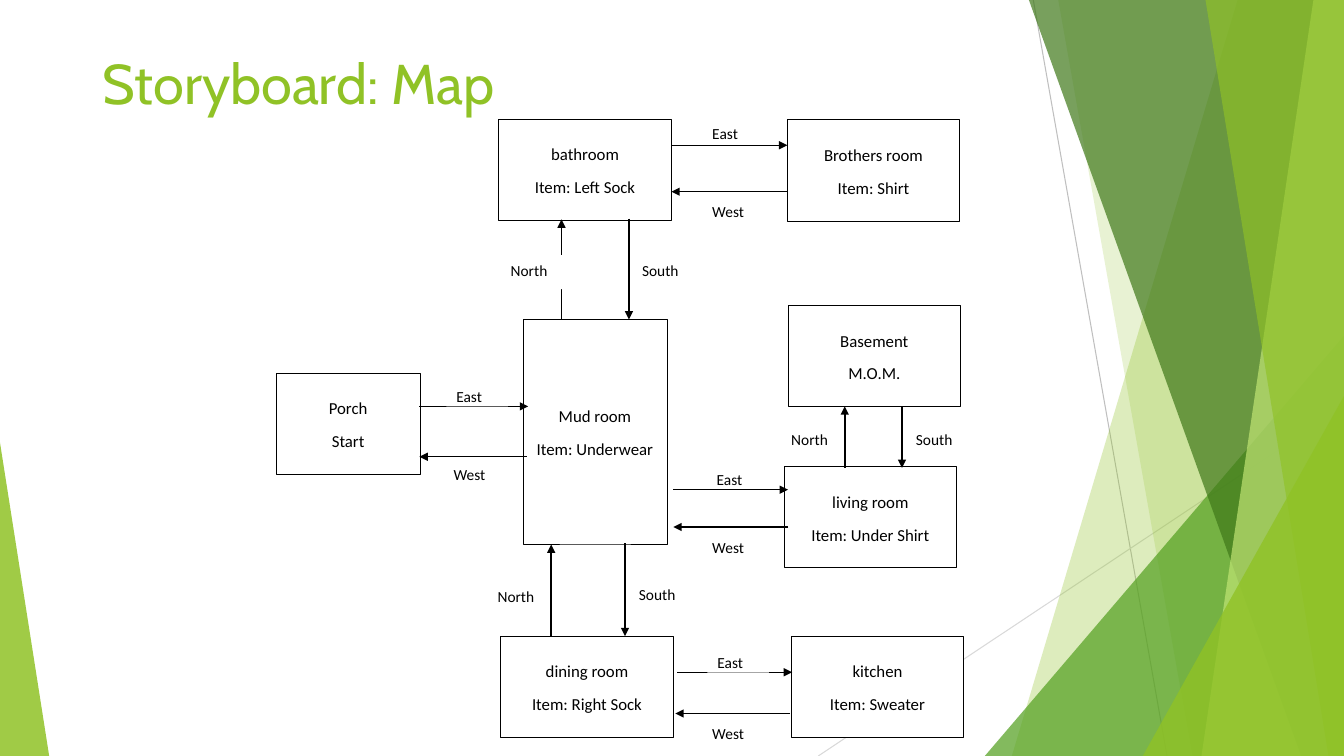
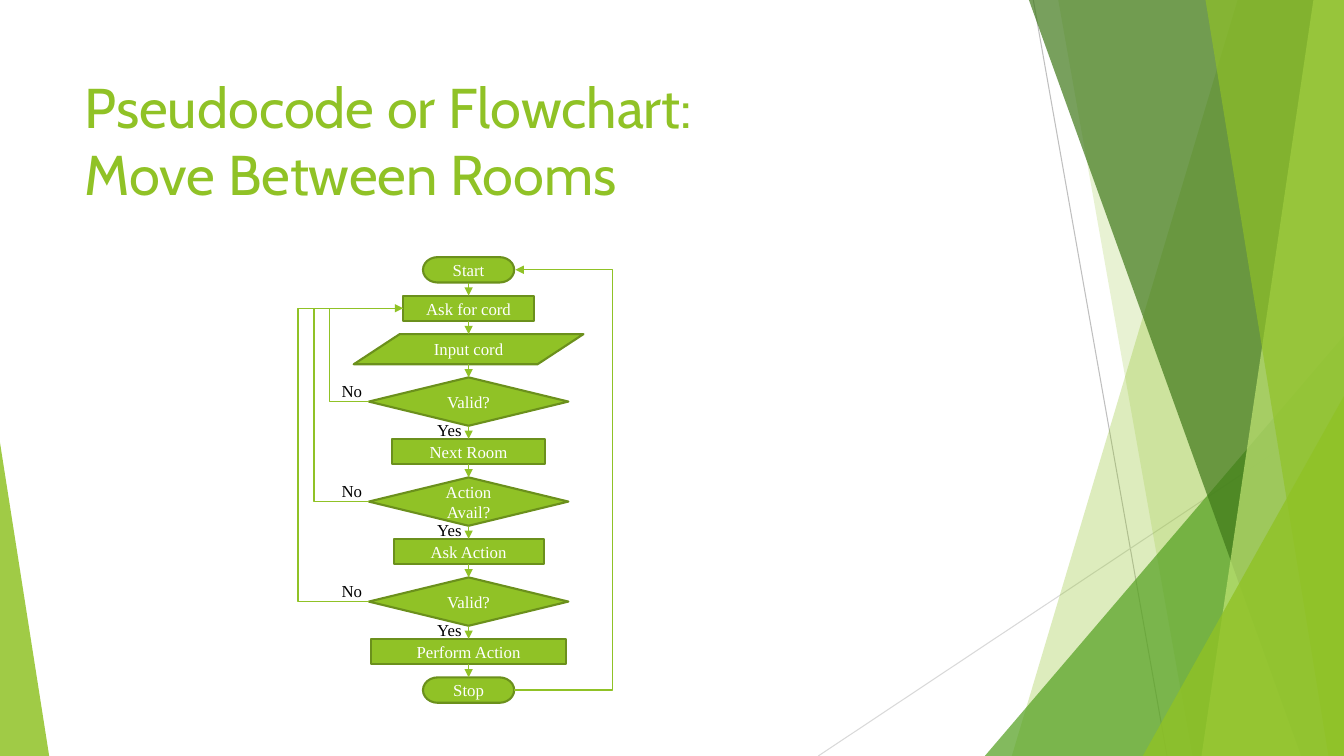
from dataclasses import dataclass

from pptx import Presentation
from pptx.dml.color import RGBColor
from pptx.enum.shapes import MSO_CONNECTOR, MSO_SHAPE
from pptx.enum.text import MSO_ANCHOR, MSO_AUTO_SIZE, PP_ALIGN
from pptx.oxml.ns import qn
from pptx.util import Cm, Pt
from lxml import etree

STRAIGHT, ELBOW = MSO_CONNECTOR.STRAIGHT, MSO_CONNECTOR.ELBOW
RECTANGLE, TRIANGLE = MSO_SHAPE.RECTANGLE, MSO_SHAPE.ISOSCELES_TRIANGLE
TERMINATOR, PROCESS = MSO_SHAPE.FLOWCHART_TERMINATOR, MSO_SHAPE.FLOWCHART_PROCESS
INPUT, DECISION = MSO_SHAPE.FLOWCHART_DATA, MSO_SHAPE.FLOWCHART_DECISION
TOP, MIDDLE = MSO_ANCHOR.TOP, MSO_ANCHOR.MIDDLE
LEFT, CENTER = PP_ALIGN.LEFT, PP_ALIGN.CENTER
TOP_SIDE, LEFT_SIDE, BOTTOM_SIDE, RIGHT_SIDE = range(4)
WIDTH, HEIGHT = 33.87, 19.05


@dataclass(frozen=True)
class Theme:
    green: str = "90C226"
    outline: str = "6B901C"
    leaf: str = "54A021"
    forest: str = "3F7819"
    lime: str = "C0E474"
    gray: str = "BFBFBF"
    pale_gray: str = "D9D9D9"
    black: str = "000000"
    white: str = "FFFFFF"
    title_font: str = "Cabin"
    map_font: str = "Calibri"
    flow_font: str = "Times New Roman"
    title_size: int = 40
    body_size: int = 12
    label_size: int = 11


THEME = Theme()

BACKDROP_LINES = [
    ((26.04, 0), (29.41, HEIGHT), THEME.gray),
    ((WIDTH, 10.24), (20.62, HEIGHT), THEME.pale_gray),
]
BACKDROP_PANELS = [
    ("band", 31.19, 25.5, THEME.green, 30),
    ("band", 26.67, 30.05, THEME.green, 20),
    ("corner", 24.82, 8.46, THEME.leaf, 72),
    ("band", 25.93, 32.79, THEME.forest, 70),
    ("band", 33.1, 30.28, THEME.lime, 70),
    ("band", 30.38, 33.48, THEME.green, 65),
    ("corner", 28.8, 9.98, THEME.green, 80),
]
LEFT_CORNER = (0, 11.15, 1.24, 7.9)

MAP_TITLE = ("Storyboard: Map", (2.34, 1.09, 22.1, 3))
ROOM, TALL_ROOM, PORCH = (4.35, 2.55), (3.63, 5.66), (3.63, 2.55)
ROOMS = [
    ("bathroom", "Item: Left Sock", 12.57, 3, ROOM),
    ("Brothers room", "Item: Shirt", 19.84, 3.02, ROOM),
    ("Basement", "M.O.M.", 19.86, 7.7, ROOM),
    ("living room", "Item: Under Shirt", 19.76, 11.76, ROOM),
    ("kitchen", "Item: Sweater", 19.94, 16.03, ROOM),
    ("Porch", "Start", 6.96, 9.4, PORCH),
    ("dining room", "Item: Right Sock", 12.62, 16.03, ROOM),
    ("Mud room", "Item: Underwear", 13.18, 8.05, TALL_ROOM),
]
# direction, start, end, cross position, label left, label top, weight
PASSAGES = [
    ("North", 8.05, 5.53, 14.15, 12.62, 6.43, 1),
    ("North", 16.03, 13.72, 13.89, 12.29, 14.63, 1),
    ("North", 11.79, 10.24, 21.29, 19.69, 10.67, 1),
    ("South", 5.51, 8.05, 15.85, 15.93, 6.43, 1),
    ("South", 13.69, 16.03, 15.75, 15.85, 14.58, 1),
    ("South", 10.24, 11.79, 22.73, 22.83, 10.67, 1),
    ("East", 16.92, 19.84, 3.66, 17.7, 2.97, 0.75),
    ("East", 16.97, 19.86, 12.34, 17.81, 11.68, 0.75),
    ("East", 17.07, 19.96, 16.94, 17.83, 16.31, 0.75),
    ("East", 10.57, 13.31, 10.24, 11.25, 9.6, 1),
    ("West", 19.84, 16.92, 4.83, 17.7, 4.93, 1),
    ("West", 19.91, 17.02, 17.98, 17.7, 18.08, 1),
    ("West", 19.86, 16.97, 13.28, 17.7, 13.41, 1),
    ("West", 13.28, 10.57, 11.51, 11.18, 11.56, 1),
]

FLOW_TITLE = ("Pseudocode or Flowchart: \vMove Between Rooms", (1.88, 1.7, 23.88, 3.66))
STEPS = [
    (TERMINATOR, "Start", 2.3, 0.64),
    (PROCESS, "Ask for cord", 3.3, 0.64),
    (INPUT, "Input cord", 5.79, 0.76),
    (DECISION, "Valid?", 5.03, 1.22),
    (PROCESS, "Next Room", 3.86, 0.64),
    (DECISION, "Action Avail?", 5.03, 1.22),
    (PROCESS, "Ask Action", 3.78, 0.64),
    (DECISION, "Valid?", 5.03, 1.22),
    (PROCESS, "Perform Action", 4.93, 0.64),
    (TERMINATOR, "Stop", 2.3, 0.64),
]
FLOW_CENTER, FLOW_TOP, FLOW_GAP = 11.81, 6.48, 0.33
RETRY_LANE, LANE_STEP, RESTART_LANE = 8.31, 0.4, 15.44
NO_LEFT, YES_LEFT, ANSWER_SIZE = 8.36, 10.77, (1.3, 0.77)


def write(box, text, *, font, size, color, align=LEFT, anchor=TOP, spacing=None, after=None):
    frame = box.text_frame
    frame.word_wrap = True
    frame.auto_size = MSO_AUTO_SIZE.NONE
    frame.vertical_anchor = anchor
    for index, line in enumerate(text.split("\n")):
        para = frame.add_paragraph() if index else frame.paragraphs[0]
        para.text = line
        para.alignment = align
        if spacing:
            para.line_spacing = spacing
        if after:
            para.space_after = Pt(after)
        for span in para.runs:
            span.font.name = font
            span.font.size = Pt(size)
            span.font.color.rgb = RGBColor.from_string(color)


def paint(shape, fill, outline=None, weight=1, opacity=100):
    shape.shadow.inherit = False
    shape.fill.solid()
    shape.fill.fore_color.rgb = RGBColor.from_string(fill)
    if opacity < 100:
        color = shape.element.spPr.find(qn("a:solidFill"))[0]
        etree.SubElement(color, qn("a:alpha"), val=str(opacity * 1000))
    if outline:
        shape.line.color.rgb = RGBColor.from_string(outline)
        shape.line.width = Pt(weight)
    else:
        shape.line.fill.background()


def add_box(page, kind, left, top, width, height):
    return page.shapes.add_shape(kind, Cm(left), Cm(top), Cm(width), Cm(height))


def add_label(page, text, left, top, width, height, **style):
    box = page.shapes.add_textbox(Cm(left), Cm(top), Cm(width), Cm(height))
    write(box, text, color=THEME.black, **style)
    return box


def add_line(page, start, end, color, weight, arrow=False, kind=STRAIGHT):
    line = page.shapes.add_connector(kind, *(Cm(value) for value in (*start, *end)))
    line.line.color.rgb = RGBColor.from_string(color)
    line.line.width = Pt(weight)
    properties = line.element.spPr
    if arrow:
        etree.SubElement(properties.find(qn("a:ln")), qn("a:tailEnd"), type="triangle")
    etree.SubElement(properties, qn("a:effectLst"))
    return line


def route(line, lane):
    ratio = (Cm(lane) - line.begin_x) / (line.end_x - line.begin_x)
    geometry = line.element.spPr.find(qn("a:prstGeom"))
    guides = geometry.find(qn("a:avLst"))
    if guides is None:
        guides = etree.SubElement(geometry, qn("a:avLst"))
    etree.SubElement(guides, qn("a:gd"), name="adj1", fmla=f"val {round(ratio * 100000)}")


def add_backdrop(page, layout):
    parts = [add_line(page, start, end, color, 0.75) for start, end, color in BACKDROP_LINES]
    for kind, first, second, color, opacity in BACKDROP_PANELS:
        if kind == "band":
            builder = page.shapes.build_freeform(Cm(first), 0)
            corners = [(WIDTH, 0), (WIDTH, HEIGHT), (second, HEIGHT)]
            builder.add_line_segments([(Cm(x), Cm(y)) for x, y in corners])
            panel = builder.convert_to_shape()
        else:
            panel = add_box(page, TRIANGLE, first, second, WIDTH - first, HEIGHT - second)
            panel.adjustments[0] = 1
        paint(panel, color, opacity=opacity)
        parts.append(panel)
    corner = add_box(page, TRIANGLE, *LEFT_CORNER)
    corner.adjustments[0] = 0
    paint(corner, THEME.green, opacity=85)
    for part in [*parts, corner]:
        layout.shapes.element.append(part.element)


def add_title(page, text, place):
    title = page.shapes.title
    title.left, title.top, title.width, title.height = (Cm(value) for value in place)
    write(title, text, font=THEME.title_font, size=THEME.title_size, color=THEME.green)


def build_map(page):
    add_title(page, *MAP_TITLE)
    style = dict(font=THEME.map_font, spacing=1.07, after=8)
    for name, detail, left, top, size in ROOMS:
        room = add_box(page, RECTANGLE, left, top, *size)
        paint(room, THEME.white, THEME.black, 0.5)
        write(room, f"{name}\n{detail}", size=THEME.body_size, color=THEME.black,
              align=CENTER, anchor=MIDDLE, **style)
    for direction, start, end, cross, left, top, weight in PASSAGES:
        vertical = direction in ("North", "South")
        ends = [(cross, value) if vertical else (value, cross) for value in (start, end)]
        add_line(page, *ends, THEME.black, weight, arrow=True)
        label = add_label(page, direction, left, top, 1.55, 0.86 if vertical else 0.64,
                          size=THEME.label_size, **style)
        label.fill.solid()
        label.fill.fore_color.rgb = RGBColor.from_string(THEME.white)


def build_flow(page):
    add_title(page, *FLOW_TITLE)
    style = dict(font=THEME.flow_font, size=THEME.body_size)
    steps, top = [], FLOW_TOP
    for kind, text, width, height in STEPS:
        box = add_box(page, kind, FLOW_CENTER - width / 2, top, width, height)
        paint(box, THEME.green, THEME.outline, 1.5)
        write(box, text, color=THEME.white, align=CENTER, anchor=MIDDLE, **style)
        steps.append((kind, box, top, height))
        top += height + FLOW_GAP

    for (kind, box, top, height), (next_kind, next_box, next_top, _) in zip(steps, steps[1:]):
        arrow = add_line(page, (FLOW_CENTER, top + height), (FLOW_CENTER, next_top),
                         THEME.green, 1, arrow=True)
        if kind != INPUT:
            arrow.begin_connect(box, BOTTOM_SIDE)
        if next_kind != INPUT:
            arrow.end_connect(next_box, TOP_SIDE)

    start, ask, stop = steps[0][1], steps[1][1], steps[-1][1]
    decisions = [step for step in steps if step[0] == DECISION]
    for index, (_, box, top, height) in enumerate(decisions):
        retry = add_line(page, (0, 0), (0, 0), THEME.green, 1, arrow=index == 0, kind=ELBOW)
        retry.begin_connect(box, LEFT_SIDE)
        retry.end_connect(ask, LEFT_SIDE)
        route(retry, RETRY_LANE - index * LANE_STEP)
        add_label(page, "No", NO_LEFT, top - 0.03, *ANSWER_SIZE, **style)
        add_label(page, "Yes", YES_LEFT, top + height - 0.28, *ANSWER_SIZE, **style)

    restart = add_line(page, (0, 0), (0, 0), THEME.green, 1, arrow=True, kind=ELBOW)
    restart.begin_connect(stop, RIGHT_SIDE)
    restart.end_x = start.left + start.width + Cm(0.03)
    restart.end_y = start.top + start.height // 2
    route(restart, RESTART_LANE)


def main():
    deck = Presentation()
    deck.slide_width, deck.slide_height = Cm(WIDTH), Cm(HEIGHT)
    layout = deck.slide_layouts[5]
    pages = [deck.slides.add_slide(layout) for _ in range(2)]
    add_backdrop(pages[0], layout)
    build_map(pages[0])
    build_flow(pages[1])
    deck.save("out.pptx")


if __name__ == "__main__":
    main()
